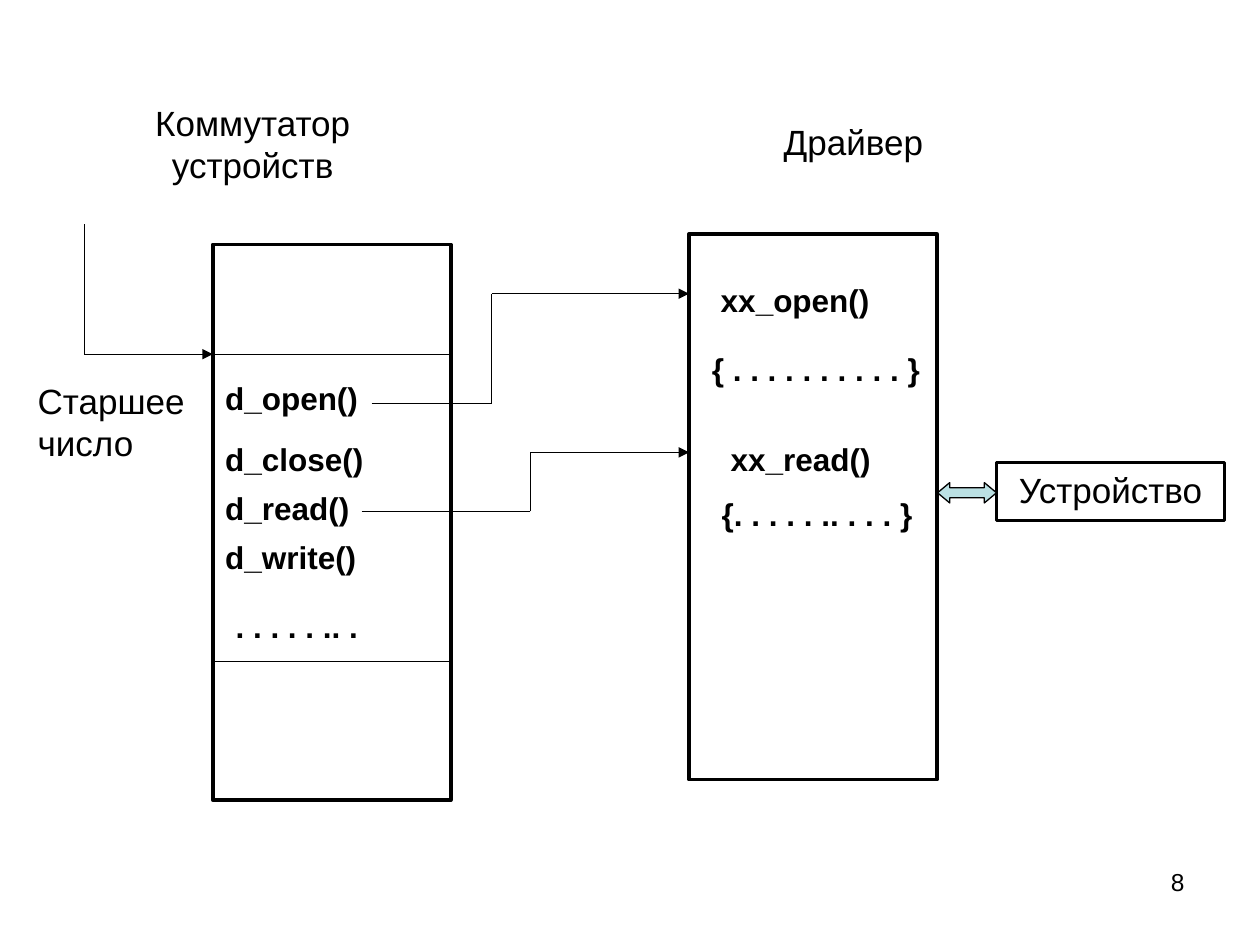
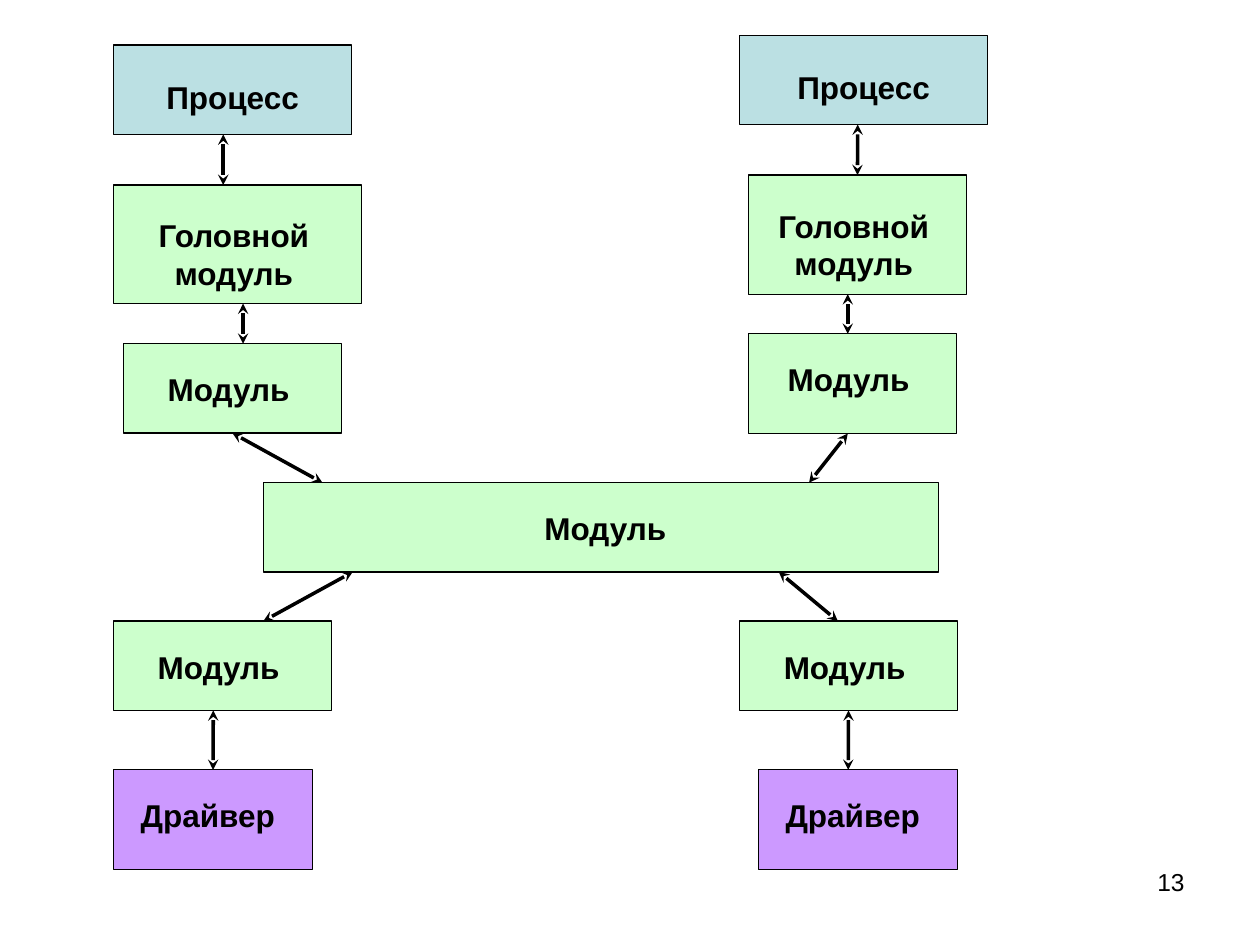
from dataclasses import dataclass

from lxml import etree
from pptx import Presentation
from pptx import util as u
from pptx.dml import color
from pptx.enum import shapes, text
from pptx.oxml import ns


@dataclass(frozen=True)
class Theme:
    font: str = "Arial"
    ink: str = "000000"
    process: str = "BBE0E3"
    module: str = "CCFFCC"
    driver: str = "CC99FF"
    heading: int = 20
    body: int = 18
    number: int = 14
    gap: int = 10
    thin: float = 0.75
    thick: float = 2


@dataclass(frozen=True)
class Block:
    fill: str
    dx: float
    dy: float
    trim: float
    label_height: float = 1.02


THEME = Theme()
PROCESS = Block(THEME.process, 0.17, 0.53, 0.34)
HEAD = Block(THEME.module, 0.2, 0.51, 0.55, 1.78)
MODULE = Block(THEME.module, 0.35, 0.41, 0.85)
BRIDGE = Block(THEME.module, 1.6, 0.41, 3.02)
DRIVER = Block(THEME.driver, 0.2, 0.41, 0.61)


class Deck:
    def __init__(self, theme):
        self.theme = theme
        self.prs = Presentation()
        self.prs.slide_width, self.prs.slide_height = u.Cm(25.4), u.Cm(19.05)
        self.slide = None

    def new_slide(self, number):
        self.slide = self.prs.slides.add_slide(self.prs.slide_layouts[6])
        self.label(number, 18.21, 17.35, 5.92, 1.32, size=self.theme.number,
                   align=text.PP_ALIGN.RIGHT)

    def set_text(self, sp, content, size, bold=False, align=text.PP_ALIGN.LEFT, indent=0):
        tf = sp.text_frame
        tf.word_wrap = True
        tf.vertical_anchor = text.MSO_ANCHOR.TOP
        for i, line in enumerate(content.split("\n")):
            p = tf.add_paragraph() if i else tf.paragraphs[0]
            p.alignment = align
            if i:
                p.space_before = u.Pt(self.theme.gap)
            elif indent:
                p._p.get_or_add_pPr().set("indent", str(u.Cm(indent)))
            r = p.add_run()
            r.text = line
            r.font.name = self.theme.font
            r.font.size = u.Pt(size)
            r.font.bold = bold
            r.font.color.rgb = color.RGBColor.from_string(self.theme.ink)

    def label(self, content, left, top, width, height=1.02, size=None, parent=None, **style):
        parent = parent or self.slide
        sp = parent.shapes.add_textbox(*map(u.Cm, (left, top, width, height)))
        self.set_text(sp, content, size or self.theme.body, **style)
        return sp

    def heading(self, content, left, top, width, height, align=text.PP_ALIGN.CENTER):
        self.label(content, left, top, width, height, self.theme.heading, align=align)

    def shape(self, left, top, width, height, fill=None, weight=None, parent=None,
              kind=shapes.MSO_SHAPE.RECTANGLE):
        parent = parent or self.slide
        sp = parent.shapes.add_shape(kind, *map(u.Cm, (left, top, width, height)))
        sp.shadow.inherit = False
        if fill:
            sp.fill.solid()
            sp.fill.fore_color.rgb = color.RGBColor.from_string(fill)
        else:
            sp.fill.background()
        sp.line.color.rgb = color.RGBColor.from_string(self.theme.ink)
        sp.line.width = u.Pt(weight or self.theme.thin)
        return sp

    def block(self, style, content, left, top, width, height):
        group = self.slide.shapes.add_group_shape()
        sp = self.shape(left, top, width, height, style.fill, parent=group)
        self.label(content, left + style.dx, top + style.dy, width - style.trim,
                   style.label_height, parent=group, bold=True, align=text.PP_ALIGN.CENTER)
        return sp

    def line(self, start, end, weight=None, head=None, tail=None, begin=None, finish=None):
        cx = self.slide.shapes.add_connector(
            shapes.MSO_CONNECTOR.STRAIGHT, *map(u.Cm, (*start, *end)))
        if begin:
            cx.begin_connect(*begin)
        if finish:
            cx.end_connect(*finish)
        cx.line.color.rgb = color.RGBColor.from_string(self.theme.ink)
        cx.line.width = u.Pt(weight or self.theme.thin)
        for tag, arrow in (("a:headEnd", head), ("a:tailEnd", tail)):
            if arrow:
                etree.SubElement(cx.line._get_or_add_ln(), ns.qn(tag), type=arrow)
        etree.SubElement(cx._element.spPr, ns.qn("a:effectLst"))

    def route(self, *points):
        last = len(points) - 2
        for i, (start, end) in enumerate(zip(points, points[1:])):
            self.line(start, end, tail="triangle" if i == last else None)

    def exchange(self, start, end, **joins):
        self.line(start, end, self.theme.thick, "stealth", "stealth", **joins)


def switch_slide(deck):
    theme = deck.theme
    deck.new_slide("8")
    left, right, entry, entry_end, driver_left = 4.29, 9.09, 7.14, 13.34, 13.89

    deck.heading("Коммутатор устройств", 2.49, 1.93, 5.21, 1.96)
    deck.shape(left, 4.93, right - left, 11.2, weight=theme.thick)
    deck.heading("Драйвер", 14.5, 2.31, 5.41, 1.09)
    deck.shape(driver_left, 4.72, 5, 11, weight=theme.thick)
    for y in (entry, entry_end):
        deck.line((left, y), (right, y))

    calls = (("d_open()", 7.52), ("d_close()", 8.74), ("d_read()", 9.73), ("d_write()", 10.72))
    for call, top in calls:
        deck.label(call, left, top, 5.41, bold=True)
    deck.label(". . . . . .. .", 4.5, 12.12, 4.19, bold=True)

    deck.heading("Старшее число", 0.51, 7.52, 3.51, 1.96, align=text.PP_ALIGN.LEFT)
    deck.label("xx_open()", 14.1, 5.54, 6.4, bold=True, indent=0.18)
    deck.label("{ . . . . . . . . . . }", 14.1, 6.93, 5, bold=True)
    deck.label("xx_read()\n{. . . . . .. . . . }", 14.3, 8.74, 4.5, 2.16, bold=True, indent=0.18)

    deck.route((1.7, 4.52), (1.7, entry), (left, entry))
    deck.route((7.49, 8.13), (9.91, 8.13), (9.91, 5.92), (driver_left, 5.92))
    deck.route((7.29, 10.31), (10.69, 10.31), (10.69, 9.12), (driver_left, 9.12))

    device = deck.shape(20.09, 9.32, 4.6, 1.17, weight=theme.thick)
    deck.set_text(device, "Устройство", theme.heading, align=text.PP_ALIGN.CENTER)
    link = deck.shape(18.9, 9.73, 1.19, 0.41, theme.process,
                      kind=shapes.MSO_SHAPE.LEFT_RIGHT_ARROW)
    link.adjustments[0], link.adjustments[1] = 0.5, 0.6


def stream_slide(deck):
    deck.new_slide("13")
    deck.block(PROCESS, "Процесс", 2.29, 0.91, 4.8, 1.8)
    deck.block(PROCESS, "Процесс", 14.91, 0.71, 5, 1.8)
    deck.block(HEAD, "Головной модуль", 2.29, 3.73, 5, 2.39)
    right_head = deck.block(HEAD, "Головной модуль", 15.09, 3.53, 4.39, 2.41)
    left_module = deck.block(MODULE, "Модуль", 2.49, 6.93, 4.39, 1.8)
    deck.block(MODULE, "Модуль", 15.09, 6.73, 4.19, 2.01)
    deck.block(MODULE, "Модуль", 2.29, 12.52, 4.39, 1.8)
    deck.block(BRIDGE, "Модуль", 5.31, 9.73, 13.61, 1.8)
    left_driver = deck.block(DRIVER, "Драйвер", 2.29, 15.52, 4.01, 2.01)
    deck.block(DRIVER, "Драйвер", 15.29, 15.52, 4.01, 2.01)
    lower_right = deck.block(MODULE, "Модуль", 14.91, 12.52, 4.39, 1.8)

    deck.exchange((4.5, 2.71), (4.5, 3.73))
    deck.exchange((17.29, 2.51), (17.29, 3.53), finish=(right_head, 0))
    deck.exchange((4.9, 6.12), (4.9, 6.93))
    deck.exchange((17.09, 5.93), (17.09, 6.73))
    deck.exchange((4.69, 8.73), (6.5, 9.73), begin=(left_module, 2))
    deck.exchange((17.09, 8.74), (16.31, 9.73))
    deck.exchange((7.11, 11.53), (5.31, 12.52))
    deck.exchange((15.7, 11.53), (16.89, 12.52))
    deck.exchange((4.3, 14.32), (4.3, 15.52), finish=(left_driver, 0))
    deck.exchange((17.1, 14.32), (17.1, 15.52), begin=(lower_right, 2))


def main():
    deck = Deck(THEME)
    switch_slide(deck)
    stream_slide(deck)
    deck.prs.save("out.pptx")


if __name__ == "__main__":
    main()
